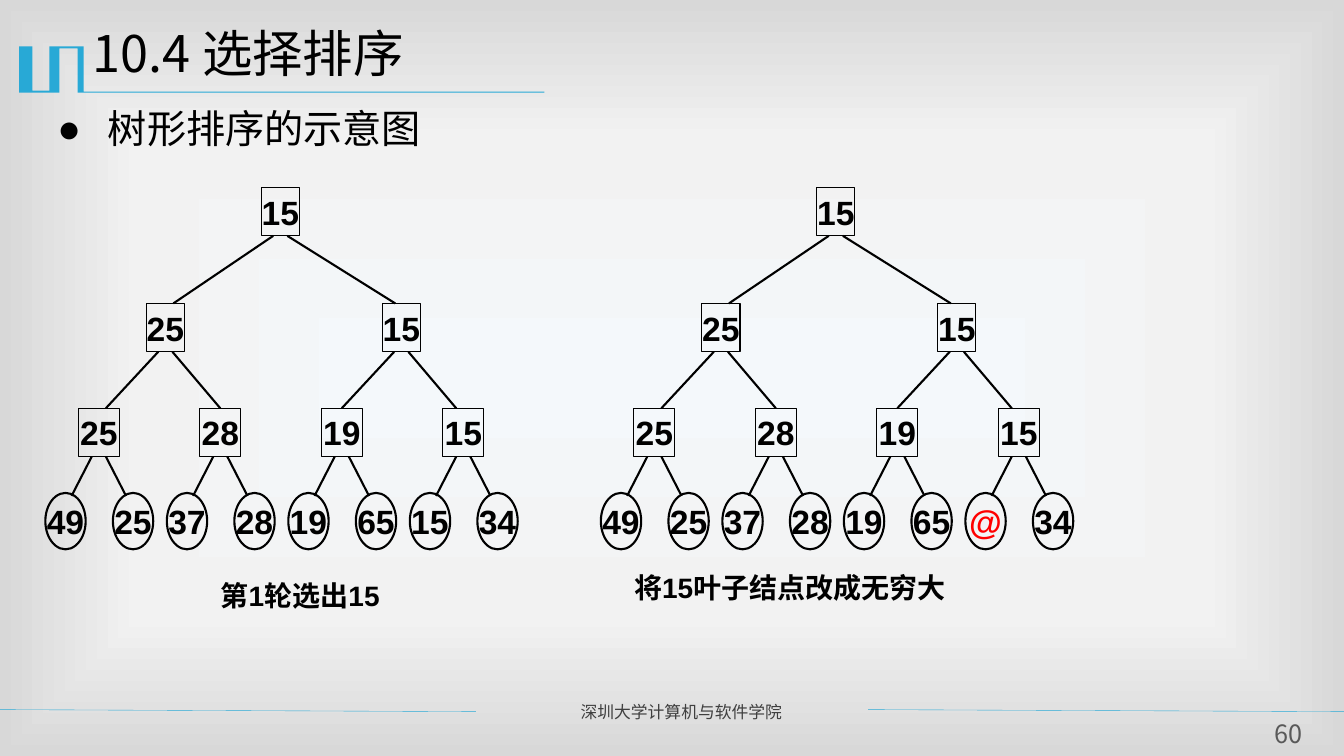
from dataclasses import dataclass

from lxml import etree
from pptx import Presentation
from pptx.dml.color import RGBColor
from pptx.enum import shapes, text
from pptx.oxml import parse_xml
from pptx.oxml.ns import nsdecls, qn
from pptx.util import Inches, Pt

BLACK = RGBColor(0x00, 0x00, 0x00)
RED = RGBColor(0xFF, 0x00, 0x00)
BLUE = RGBColor(0x28, 0xA9, 0xD6)
FOOTER_GRAY = RGBColor(0x3F, 0x3F, 0x3F)
NUMBER_GRAY = RGBColor(0x59, 0x59, 0x59)
BACKGROUND_STOPS = (
    (0, RGBColor(0xF4, 0xF8, 0xFB)),
    (63, RGBColor(0xF2, 0xF2, 0xF2)),
    (100, RGBColor(0xD8, 0xD8, 0xD8)),
)
CHINESE_FONT = "Noto Sans CJK SC"
LATIN_FONT = "Arial"
INFINITY = "@"

BANNER = (
    (0.82, 0.46), (0.83, 0.46), (0.83, 0.91), (5.4, 0.91), (5.4, 0.92),
    (0.77, 0.92), (0.77, 0.48), (0.59, 0.48), (0.59, 0.92), (0.19, 0.92),
    (0.19, 0.46), (0.32, 0.46), (0.32, 0.9), (0.49, 0.9), (0.49, 0.46),
)
EDGE_START = 0.07
SUBTREE_STEP = 1.205


@dataclass(frozen=True)
class Level:
    kind: shapes.MSO_SHAPE
    top: float
    width: float
    height: float
    line_width: float
    centers: tuple[float, ...]
    landings: tuple[float, ...]
    landing_depth: float = 0


@dataclass(frozen=True)
class Tree:
    offset: float
    values: tuple[tuple[str, ...], ...]
    caption: str
    caption_box: tuple[float, float, float, float]


RECTANGLE = shapes.MSO_SHAPE.RECTANGLE
LEVELS = (
    Level(RECTANGLE, 1.86, 0.38, 0.48, 0.75, (2.78,), ()),
    Level(RECTANGLE, 3.01, 0.38, 0.48, 0.75, (1.64, 3.98), (0.08, -0.06)),
    Level(RECTANGLE, 4.05, 0.41, 0.48, 0.75,
          tuple(0.98 + SUBTREE_STEP * i for i in range(4)),
          (0.07, 0, 0, -0.07)),
    Level(shapes.MSO_SHAPE.OVAL, 4.89, 0.4, 0.56, 1.5,
          tuple(0.65 + SUBTREE_STEP * (i // 2) + 0.67 * (i % 2)
                for i in range(8)),
          (0.06, -0.07) * 4, 0.03),
)
INNER_VALUES = (("15",), ("25", "15"), ("25", "28", "19", "15"))
TREES = (
    Tree(0, INNER_VALUES + (("49", "25", "37", "28", "19", "65", "15", "34"),),
         "第1轮选出15", (2.09, 5.69, 2.03, 0.44)),
    Tree(5.51,
         INNER_VALUES + (("49", "25", "37", "28", "19", "65", INFINITY, "34"),),
         "将15叶子结点改成无穷大", (6.19, 5.61, 3.83, 0.44)),
)


def write(frame, content: str, size: float, color: RGBColor,
          align=text.PP_ALIGN.LEFT, font: str = CHINESE_FONT,
          bold: bool = False):
    para = frame.paragraphs[0]
    para.text = content
    para.alignment = align
    para.font.size = Pt(size)
    para.font.bold = bold
    para.font.name = font
    para.font.color.rgb = color
    latin = para._p.pPr.find(qn("a:defRPr")).find(qn("a:latin"))
    east_asian = etree.Element(qn("a:ea"), typeface=CHINESE_FONT)
    latin.addnext(east_asian)
    return para


def clear_margins(frame) -> None:
    frame.margin_left = frame.margin_right = 0
    frame.margin_top = frame.margin_bottom = 0


def add_text(parent, box: tuple[float, ...], content: str, size: float,
             color: RGBColor, **style):
    frame = parent.add_textbox(*map(Inches, box)).text_frame
    frame.word_wrap = True
    write(frame, content, size, color, **style)
    return frame


def add_line(parent, start: tuple[float, float], end: tuple[float, float],
             color: RGBColor, width: float):
    line = parent.add_connector(shapes.MSO_CONNECTOR.STRAIGHT,
                                *map(Inches, start + end))
    line.line.color.rgb = color
    line.line.width = Pt(width)
    etree.SubElement(line._element.spPr, qn("a:effectLst"))
    return line


def add_node(parent, level: Level, center: float, value: str):
    node = parent.add_shape(level.kind, Inches(center - level.width / 2),
                            Inches(level.top), Inches(level.width),
                            Inches(level.height))
    node.shadow.inherit = False
    node.fill.background()
    node.line.color.rgb = BLACK
    node.line.width = Pt(level.line_width)
    frame = node.text_frame
    frame.word_wrap = False
    frame.vertical_anchor = text.MSO_ANCHOR.MIDDLE
    clear_margins(frame)
    write(frame, value, 24, RED if value == INFINITY else BLACK,
          align=text.PP_ALIGN.CENTER, font=LATIN_FONT, bold=True)
    return node


def add_tree(page, tree: Tree) -> None:
    group = page.shapes.add_group_shape().shapes
    parent_level = None
    for level, values in zip(LEVELS, tree.values):
        for i, (center, value) in enumerate(zip(level.centers, values)):
            node = add_node(group, level, tree.offset + center, value)
            if parent_level is None:
                continue
            side = EDGE_START if i % 2 else -EDGE_START
            start = (tree.offset + parent_level.centers[i // 2] + side,
                     parent_level.top + parent_level.height)
            end = (tree.offset + center + level.landings[i],
                   level.top + level.landing_depth)
            edge = add_line(group, start, end, BLACK, 1.5)
            if level.landings[i] == 0:
                edge.end_connect(node, 0)
        parent_level = level
    add_text(group, tree.caption_box, tree.caption, 20, BLACK,
             font=LATIN_FONT, bold=True)


def fill_placeholder(box, place: tuple[float, ...], content: str, size: float,
                     indent: float, bullet: str = "") -> None:
    box.left, box.top, box.width, box.height = map(Inches, place)
    frame = box.text_frame
    frame.vertical_anchor = text.MSO_ANCHOR.TOP
    frame.auto_size = text.MSO_AUTO_SIZE.NONE
    properties = frame.paragraphs[0]._p.get_or_add_pPr()
    properties.set("marL", str(Inches(indent)))
    properties.set("indent", str(-Inches(indent)))
    if bullet:
        etree.SubElement(properties, qn("a:buFont"), typeface=LATIN_FONT)
        etree.SubElement(properties, qn("a:buChar"), char=bullet)
    para = write(frame, content, size, BLACK)
    para.line_spacing = 0.9
    para.space_before = Pt(0)


def paint_background(page) -> None:
    stops = "".join(
        f'<a:gs pos="{position * 1000}"><a:srgbClr val="{color}"/></a:gs>'
        for position, color in BACKGROUND_STOPS)
    page._element.cSld.insert(0, parse_xml(
        f'<p:bg {nsdecls("p", "a")}><p:bgPr><a:gradFill rotWithShape="1">'
        f'<a:gsLst>{stops}</a:gsLst><a:path path="rect"><a:fillToRect '
        'l="50000" t="50000" r="50000" b="50000"/></a:path></a:gradFill>'
        '<a:effectLst/></p:bgPr></p:bg>'))


def add_banner(page) -> None:
    points = [(Inches(x), Inches(y)) for x, y in BANNER]
    builder = page.shapes.build_freeform(*points[0])
    builder.add_line_segments(points[1:], close=True)
    banner = builder.convert_to_shape()
    banner.shadow.inherit = False
    banner.fill.solid()
    banner.fill.fore_color.rgb = BLUE
    banner.line.fill.background()


def main() -> None:
    deck = Presentation()
    deck.slide_width, deck.slide_height = Inches(13.33), Inches(7.5)
    page = deck.slides.add_slide(deck.slide_layouts[1])
    paint_background(page)
    add_banner(page)
    for left in (-0.01, 8.61):
        add_line(page.shapes, (left, 7.04), (left + 4.73, 7.06), BLUE, 0.25)
    fill_placeholder(page.shapes.title, (0.82, 0.24, 12, 0.87),
                     "10.4 选择排序", 36, 1.33)
    fill_placeholder(page.placeholders[1], (0.47, 1.04, 12.13, 5.63),
                     "树形排序的示意图", 28, 0.5, "●")
    for tree in TREES:
        add_tree(page, tree)
    add_text(page.shapes, (5.66, 6.91, 2.85, 0.3), "深圳大学计算机与软件学院",
             12, FOOTER_GRAY, align=text.PP_ALIGN.JUSTIFY)
    number = add_text(page.shapes, (12.48, 7.13, 0.59, 0.31), "60", 18,
                      NUMBER_GRAY, align=text.PP_ALIGN.CENTER)
    clear_margins(number)
    deck.save("out.pptx")


if __name__ == "__main__":
    main()
